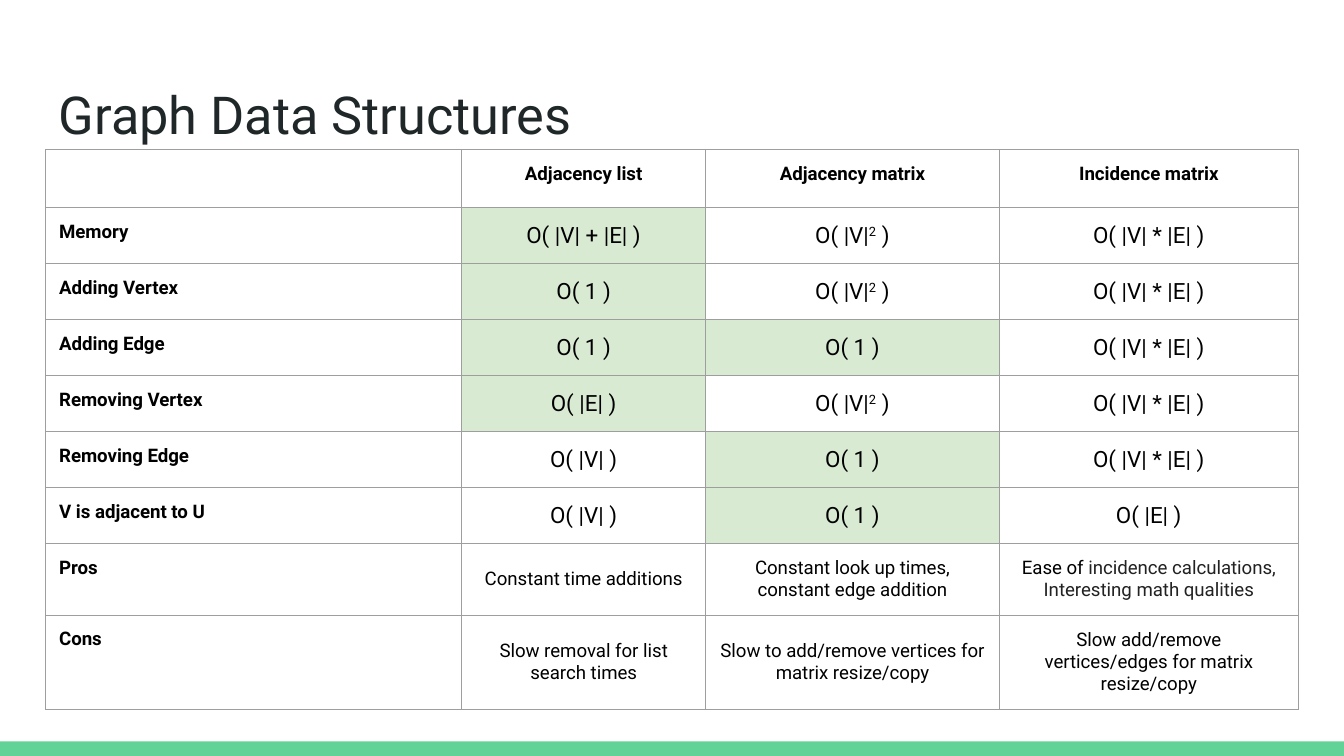
import pptx
import pptx.dml.color
import pptx.enum.shapes
import pptx.enum.text
import pptx.oxml
import pptx.oxml.ns
import pptx.util

Pt = pptx.util.Pt
ALIGN = pptx.enum.text.PP_ALIGN
ANCHOR = pptx.enum.text.MSO_ANCHOR


def paint(target, value):
    if hasattr(target, "solid"):
        target.solid()
        target = target.fore_color
    target.rgb = pptx.dml.color.RGBColor.from_string(value)


def add_borders(cell, value):
    properties = cell._tc.get_or_add_tcPr()
    for side in ("lnL", "lnR", "lnT", "lnB"):
        properties.append(pptx.oxml.parse_xml(
            f'<a:{side} {pptx.oxml.ns.nsdecls("a")} w="{Pt(0.75)}"><a:solidFill>'
            f'<a:srgbClr val="{value}"/></a:solidFill></a:{side}>'))


presentation = pptx.Presentation()
presentation.slide_width = Pt(720)
presentation.slide_height = Pt(405)
slide = presentation.slides.add_slide(presentation.slide_layouts[6])
paint(slide.background.fill, "FFFFFF")

footer_bar = slide.shapes.add_shape(
    pptx.enum.shapes.MSO_SHAPE.RECTANGLE, Pt(0), Pt(397.2), Pt(720), Pt(7.8))
footer_bar.shadow.inherit = False
footer_bar.line.fill.background()
paint(footer_bar.fill, "63D297")

title = slide.shapes.add_textbox(Pt(24.5), Pt(35), Pt(671), Pt(45.4))
title_frame = title.text_frame
title_frame.word_wrap = True
title_frame.margin_left = title_frame.margin_right = Pt(7.2)
title_frame.margin_top = Pt(9.25)
title_frame.margin_bottom = Pt(2)
title_frame.text = "Graph Data Structures"
title_font = title_frame.paragraphs[0].runs[0].font
title_font.name = "Roboto"
title_font.size = Pt(28)
paint(title_font.color, "202729")

rows = [
    ["", "Adjacency list", "Adjacency matrix", "Incidence matrix"],
    ["Memory", "O( |V| + |E| )", "O( |V|~2~ )", "O( |V| * |E| )"],
    ["Adding Vertex", "O( 1 )", "O( |V|~2~ )", "O( |V| * |E| )"],
    ["Adding Edge", "O( 1 )", "O( 1 )", "O( |V| * |E| )"],
    ["Removing Vertex", "O( |E| )", "O( |V|~2~ )", "O( |V| * |E| )"],
    ["Removing Edge", "O( |V| )", "O( 1 )", "O( |V| * |E| )"],
    ["V is adjacent to U", "O( |V| )", "O( 1 )", "O( |E| )"],
    ["Pros", "Constant time additions",
     "Constant look up times, constant edge addition",
     "Ease of ~incidence calculations, Interesting math qualities"],
    ["Cons", "Slow removal for list search times",
     "Slow to add/remove vertices for matrix resize/copy",
     "Slow add/remove vertices/edges for matrix resize/copy"],
]
best_cells = {(1, 1), (2, 1), (3, 1), (4, 1), (3, 2), (5, 2), (6, 2)}
column_widths = [222.8, 130.8, 157.2, 160.4]
row_heights = [31] + [30] * 6 + [37.5, 49.5]

table = slide.shapes.add_table(
    len(rows), len(column_widths), Pt(24.5), Pt(80.2),
    Pt(sum(column_widths)), Pt(sum(row_heights))).table
table.first_row = False
table.horz_banding = False
for column, width in zip(table.columns, column_widths):
    column.width = Pt(width)
for row, height in zip(table.rows, row_heights):
    row.height = Pt(height)

for row_index, texts in enumerate(rows):
    for column_index, text in enumerate(texts):
        cell = table.cell(row_index, column_index)
        is_heading = row_index == 0 or column_index == 0
        cell.margin_left = cell.margin_right = Pt(7.2)
        cell.margin_top = cell.margin_bottom = Pt(7.2)
        cell.vertical_anchor = ANCHOR.TOP if is_heading else ANCHOR.MIDDLE
        add_borders(cell, "9E9E9E")
        if (row_index, column_index) in best_cells:
            paint(cell.fill, "D9EAD3")
        else:
            cell.fill.background()

        paragraph = cell.text_frame.paragraphs[0]
        paragraph.alignment = ALIGN.CENTER if column_index else ALIGN.LEFT
        if not text:
            paragraph._p.get_or_add_endParaRPr().set("sz", "1000")
            continue
        first, *others = text.split("~")
        paragraph.text = first
        for other in others:
            paragraph.add_run().text = other
        for run in paragraph.runs:
            run.font.name = "Roboto"
            run.font.size = Pt(10 if is_heading or row_index > 6 else 12)
            run.font.bold = is_heading
            paint(run.font.color, "222222" if run.text.startswith("incidence") else "000000")
            if run.text == "2":
                run.font._element.set("baseline", "30000")

presentation.save("out.pptx")
